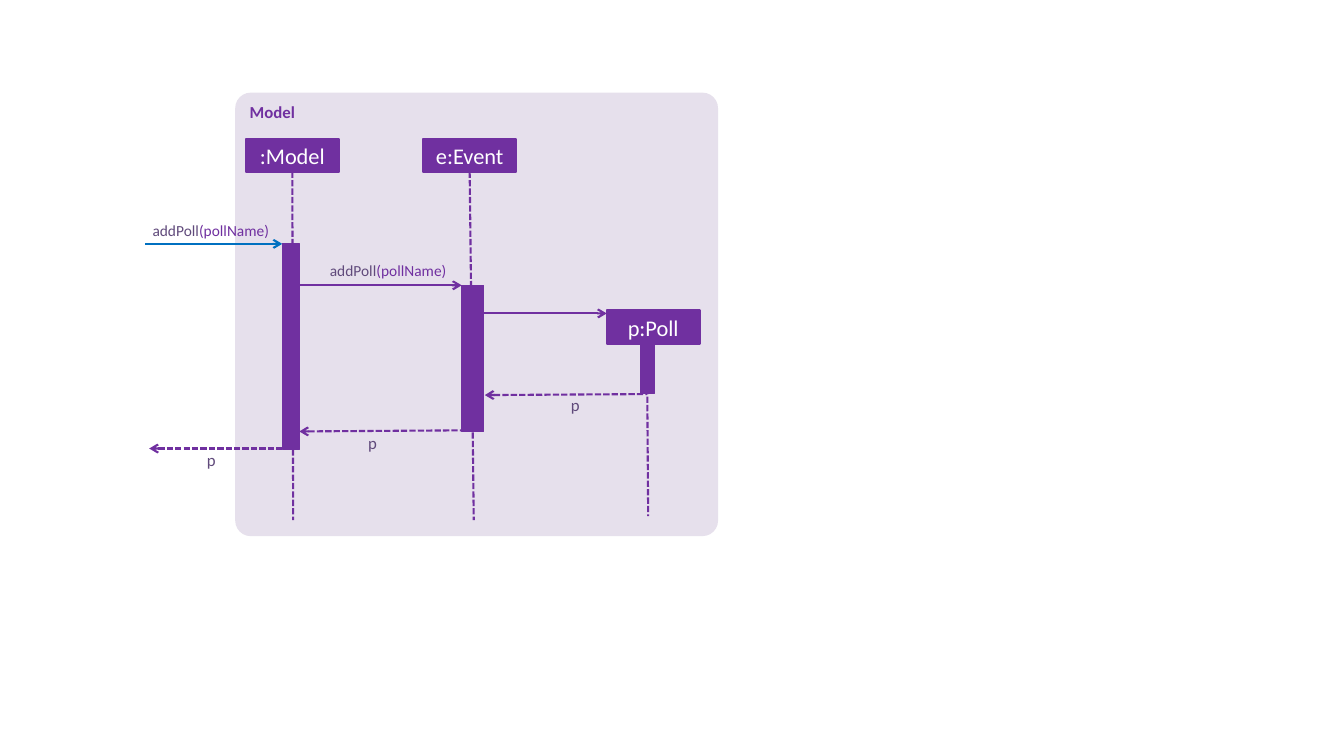
"""Build a sequence diagram of adding a poll inside the Model component."""
from dataclasses import dataclass

from lxml import etree
from pptx import Presentation
from pptx.dml.color import RGBColor
from pptx.enum.dml import MSO_LINE
from pptx.enum.shapes import MSO_CONNECTOR, MSO_SHAPE
from pptx.enum.text import MSO_ANCHOR, MSO_AUTO_SIZE, PP_ALIGN
from pptx.oxml.ns import qn
from pptx.util import Pt

RECTANGLE = MSO_SHAPE.RECTANGLE
ROUNDED_RECTANGLE = MSO_SHAPE.ROUNDED_RECTANGLE
STRAIGHT = MSO_CONNECTOR.STRAIGHT
SQUARE_DOT = MSO_LINE.SQUARE_DOT
TOP, MIDDLE = MSO_ANCHOR.TOP, MSO_ANCHOR.MIDDLE
LEFT, CENTER, RIGHT = PP_ALIGN.LEFT, PP_ALIGN.CENTER, PP_ALIGN.RIGHT
FIT_SHAPE = MSO_AUTO_SIZE.SHAPE_TO_FIT_TEXT

PURPLE = RGBColor(0x70, 0x30, 0xA0)
MUTED_PURPLE = RGBColor(0x60, 0x4A, 0x7B)
LAVENDER = RGBColor(0xE6, 0xE0, 0xEC)
BLUE = RGBColor(0x00, 0x70, 0xC0)
WHITE = RGBColor(0xFF, 0xFF, 0xFF)
FONT = "Calibri"
HEAD_WIDTH, HEAD_HEIGHT = 66.24, 23.76


@dataclass(frozen=True)
class Box:
    left: float
    top: float
    width: float
    height: float


@dataclass(frozen=True)
class Line:
    start_x: float
    start_y: float
    end_x: float
    end_y: float
    color: RGBColor = PURPLE
    dashed: bool = False
    arrow_tag: str = ""


@dataclass(frozen=True)
class Participant:
    name: str
    head_left: float
    head_top: float
    lifeline: Line
    activation: Box


@dataclass(frozen=True)
class Label:
    box: Box
    size: float
    runs: tuple


PARTICIPANTS = (
    Participant(":Model", 175.68, 99.36,
                Line(208.8, 122.6, 209.4, 371.5, dashed=True),
                Box(201.6, 174.2, 12.5, 146.9)),
    Participant("e:Event", 302.4, 99.36,
                Line(335.5, 122.6, 338.4, 371.5, dashed=True),
                Box(329.8, 203.8, 15.8, 104.4)),
    Participant("p:Poll", 433.44, 221.76,
                Line(462.2, 259.2, 463, 368.6, dashed=True),
                Box(457.2, 244.8, 10.1, 36)),
)


def call(start_x: float, end_x: float, y: float, color: RGBColor = PURPLE) -> Line:
    return Line(start_x, y, end_x, y, color, arrow_tag="a:tailEnd")


def reply(left: float, left_y: float, right: float, right_y: float) -> Line:
    return Line(left, left_y, right, right_y, dashed=True, arrow_tag="a:headEnd")


MESSAGES = (
    call(103.7, 201.6, 174.2, BLUE),
    call(213.8, 329.8, 203.8),
    call(345.6, 433.4, 223.9),
    reply(346.3, 282.2, 462.2, 281.5),
    reply(213.8, 308.2, 329.8, 307.4),
    reply(106.6, 320.4, 208.1, 320.4),
)


def call_label(left: float, top: float) -> Label:
    return Label(Box(left, top, 110.9, 13.4), 11,
                 (("addPoll", MUTED_PURPLE), ("(pollName)", PURPLE)))


def reply_label(left: float, top: float) -> Label:
    return Label(Box(left, top, 10.1, 14.6), 12, (("p", MUTED_PURPLE),))


LABELS = (
    call_label(81.4, 157.7),
    call_label(208.1, 186.5),
    reply_label(403.9, 282.2),
    reply_label(259.2, 308.9),
    reply_label(144, 321.1),
)


def add_box(slide, box: Box, fill: RGBColor, line_width: float = 0, kind=RECTANGLE):
    shape = slide.shapes.add_shape(
        kind, Pt(box.left), Pt(box.top), Pt(box.width), Pt(box.height))
    shape.shadow.inherit = False
    shape.fill.solid()
    shape.fill.fore_color.rgb = fill
    if line_width:
        shape.line.color.rgb = fill
        shape.line.width = Pt(line_width)
    else:
        shape.line.fill.background()
    return shape


def write(shape, text: str, size: float, color: RGBColor, align, anchor,
          bold: bool = False) -> None:
    shape.text_frame.vertical_anchor = anchor
    paragraph = shape.text_frame.paragraphs[0]
    paragraph.text = text
    paragraph.alignment = align
    font = paragraph.font
    font.name, font.size, font.bold = FONT, Pt(size), bold
    font.color.rgb = color


def add_line(slide, line: Line) -> None:
    connector = slide.shapes.add_connector(
        STRAIGHT, Pt(line.start_x), Pt(line.start_y), Pt(line.end_x), Pt(line.end_y))
    connector.line.color.rgb = line.color
    connector.line.width = Pt(1.5)
    if line.dashed:
        connector.line.dash_style = SQUARE_DOT
    if line.arrow_tag:
        etree.SubElement(connector.line._get_or_add_ln(), qn(line.arrow_tag), type="arrow")
    etree.SubElement(connector._element.spPr, qn("a:effectLst"))


def add_participant(slide, participant: Participant) -> None:
    add_line(slide, participant.lifeline)
    add_box(slide, participant.activation, PURPLE, 0.75)
    head = add_box(slide, Box(participant.head_left, participant.head_top,
                              HEAD_WIDTH, HEAD_HEIGHT), PURPLE, 1.5)
    write(head, participant.name, 16, WHITE, CENTER, MIDDLE)


def add_label(slide, label: Label) -> None:
    box = label.box
    frame = slide.shapes.add_textbox(
        Pt(box.left), Pt(box.top), Pt(box.width), Pt(box.height)).text_frame
    frame.margin_left = frame.margin_right = frame.margin_top = frame.margin_bottom = 0
    frame.word_wrap = True
    frame.auto_size = FIT_SHAPE
    paragraph = frame.paragraphs[0]
    paragraph.alignment = RIGHT
    paragraph.font.name, paragraph.font.size = FONT, Pt(label.size)
    for text, color in label.runs:
        run = paragraph.add_run()
        run.text = text
        run.font.color.rgb = color


def main() -> None:
    presentation = Presentation()
    presentation.slide_width, presentation.slide_height = Pt(960), Pt(540)
    slide = presentation.slides.add_slide(presentation.slide_layouts[6])
    panel = add_box(slide, Box(168, 66.2, 344.9, 316.8), LAVENDER, kind=ROUNDED_RECTANGLE)
    panel.adjustments[0] = 0.035
    write(panel, "Model", 12, PURPLE, LEFT, TOP, bold=True)
    for participant in PARTICIPANTS:
        add_participant(slide, participant)
    for message in MESSAGES:
        add_line(slide, message)
    for label in LABELS:
        add_label(slide, label)
    presentation.save("out.pptx")


if __name__ == "__main__":
    main()
